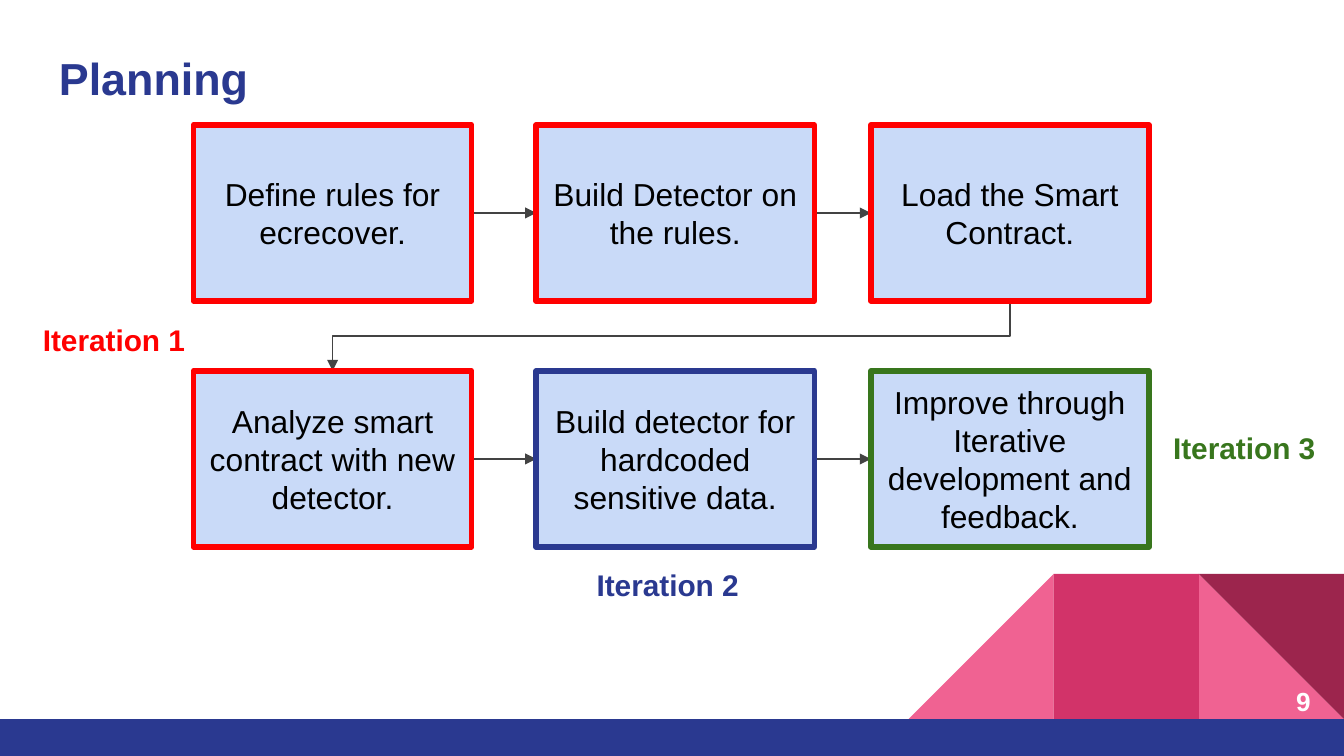
from lxml.etree import SubElement
from pptx import Presentation
from pptx.dml.color import RGBColor
from pptx.enum.shapes import MSO_CONNECTOR, MSO_SHAPE
from pptx.enum.text import MSO_ANCHOR, PP_ALIGN
from pptx.oxml.ns import qn
from pptx.util import Inches, Pt

COLORS = {
    "navy": "2A3990", "red": "FF0000", "green": "38761D",
    "pale blue": "C9DAF8", "gray": "434343", "black": "000000", "white": "FFFFFF",
    "pink": "F06292", "rose": "D23369", "wine": "9C254D",
}


def color(name):
    return RGBColor.from_string(COLORS[name])


def write(shape, text, size, color_name, bold=True, align=PP_ALIGN.LEFT, anchor=MSO_ANCHOR.TOP):
    frame = shape.text_frame
    frame_format = {"word_wrap": True, "vertical_anchor": anchor}
    for side in ("left", "top", "right", "bottom"):
        frame_format["margin_" + side] = Inches(0.1)
    for name, value in frame_format.items():
        setattr(frame, name, value)
    paragraph = frame.paragraphs[0]
    paragraph.alignment = align
    run = paragraph.add_run()
    run.text = text
    for name, value in {"size": Pt(size), "name": "Arial", "bold": bold}.items():
        setattr(run.font, name, value)
    run.font.color.rgb = color(color_name)


presentation = Presentation()
presentation.slide_width = Inches(10)
presentation.slide_height = Inches(10) * 9 // 16
slide = presentation.slides.add_slide(presentation.slide_layouts[6])
shapes = slide.shapes

# Corner decoration and footer band
tile = 1.08
for kind, left, top, width, height, rotation, fill in [
    (MSO_SHAPE.RIGHT_TRIANGLE, 8.92, 4.27, tile, tile, 0, "pink"),
    (MSO_SHAPE.RIGHT_TRIANGLE, 6.76, 4.27, tile, tile, 270, "pink"),
    (MSO_SHAPE.RECTANGLE, 7.84, 4.27, tile, tile, 0, "rose"),
    (MSO_SHAPE.RIGHT_TRIANGLE, 8.92, 4.27, tile, tile, 180, "wine"),
    (MSO_SHAPE.RECTANGLE, 0, 5.35, 10, 0.28, 0, "navy"),
]:
    shape = shapes.add_shape(kind, Inches(left), Inches(top), Inches(width), Inches(height))
    shape.rotation = rotation
    shape.shadow.inherit = False
    shape.fill.solid()
    shape.fill.fore_color.rgb = color(fill)
    shape.line.fill.background()

# Title, page number and iteration labels
for text, left, top, width, height, size, color_name, align, anchor in [
    ("Planning", 0.34, 0.28, 9.32, 0.66, 24, "navy", PP_ALIGN.LEFT, MSO_ANCHOR.TOP),
    ("9", 9.25, 5, 0.6, 0.43, 14, "white", PP_ALIGN.RIGHT, MSO_ANCHOR.MIDDLE),
    ("Iteration 1", 0.22, 2.29, 1.32, 0.47, 16, "red", PP_ALIGN.LEFT, MSO_ANCHOR.TOP),
    ("Iteration 2", 4.34, 4.12, 1.32, 0.47, 16, "navy", PP_ALIGN.LEFT, MSO_ANCHOR.TOP),
    ("Iteration 3", 8.63, 3.1, 1.32, 0.47, 16, "green", PP_ALIGN.LEFT, MSO_ANCHOR.TOP),
]:
    label = shapes.add_textbox(Inches(left), Inches(top), Inches(width), Inches(height))
    write(label, text, size, color_name, align=align, anchor=anchor)

# Six steps in two rows of three
columns = [1.44, 3.99, 6.48]
rows = [0.93, 2.76]
steps = []
for index, (text, outline) in enumerate([
    ("Define rules for ecrecover.", "red"),
    ("Build Detector on the rules.", "red"),
    ("Load the Smart Contract.", "red"),
    ("Analyze smart contract with new detector.", "red"),
    ("Build detector for hardcoded sensitive data.", "navy"),
    ("Improve through Iterative development and feedback.", "green"),
]):
    row, column = divmod(index, 3)
    step = shapes.add_shape(MSO_SHAPE.RECTANGLE, Inches(columns[column]), Inches(rows[row]),
                            Inches(2.07), Inches(1.31))
    step.shadow.inherit = False
    step.fill.solid()
    step.fill.fore_color.rgb = color("pale blue")
    step.line.color.rgb = color(outline)
    step.line.width = Pt(3)
    write(step, text, 17, "black", bold=False, align=PP_ALIGN.CENTER, anchor=MSO_ANCHOR.MIDDLE)
    steps.append(step)

# Arrows from each step to the next, behind the boxes
for start, end in zip(steps, steps[1:]):
    same_row = start.top == end.top
    kind = MSO_CONNECTOR.STRAIGHT if same_row else MSO_CONNECTOR.ELBOW
    arrow = shapes.add_connector(kind, 0, 0, 0, 0)
    arrow.begin_connect(start, 3 if same_row else 2)
    arrow.end_connect(end, 1 if same_row else 0)
    if not same_row:
        # A quarter turn makes the elbow leave downwards: swap its sides around the centre
        center_x, center_y = (arrow.begin_x + arrow.end_x) // 2, (arrow.begin_y + arrow.end_y) // 2
        width, height = arrow.height, arrow.width
        transform = arrow._element.spPr.find(qn("a:xfrm"))
        transform.attrib.clear()
        transform.set("rot", str(90 * 60000))
        for name, value in {"left": center_x - width // 2, "top": center_y - height // 2,
                            "width": width, "height": height}.items():
            setattr(arrow, name, value)
    arrow.line.color.rgb = color("gray")
    arrow.line.width = Pt(0.75)
    SubElement(arrow.line._get_or_add_ln(), qn("a:tailEnd"), type="triangle")
    SubElement(arrow._element.spPr, qn("a:effectLst"))
    steps[0]._element.addprevious(arrow._element)

presentation.save("out.pptx")
